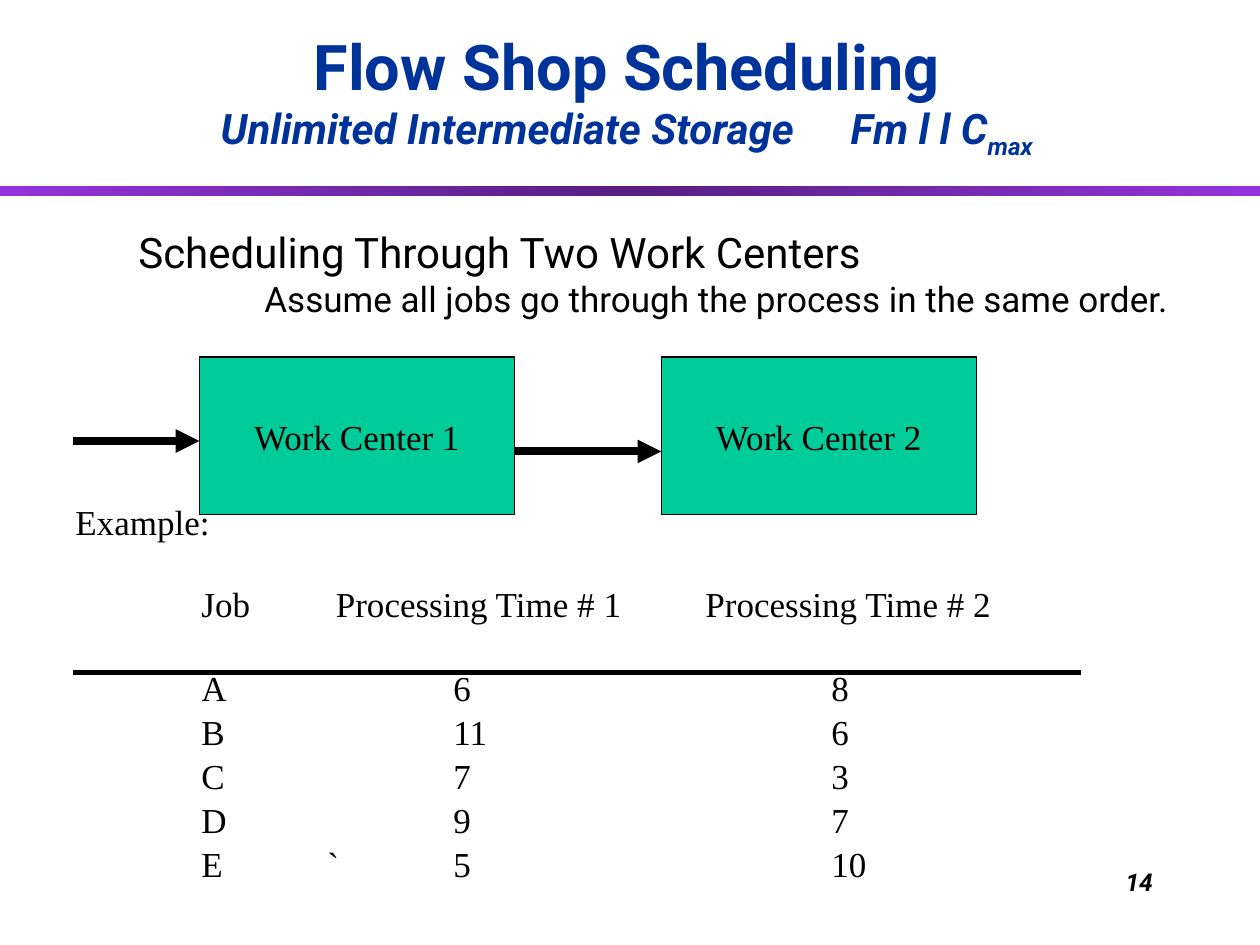
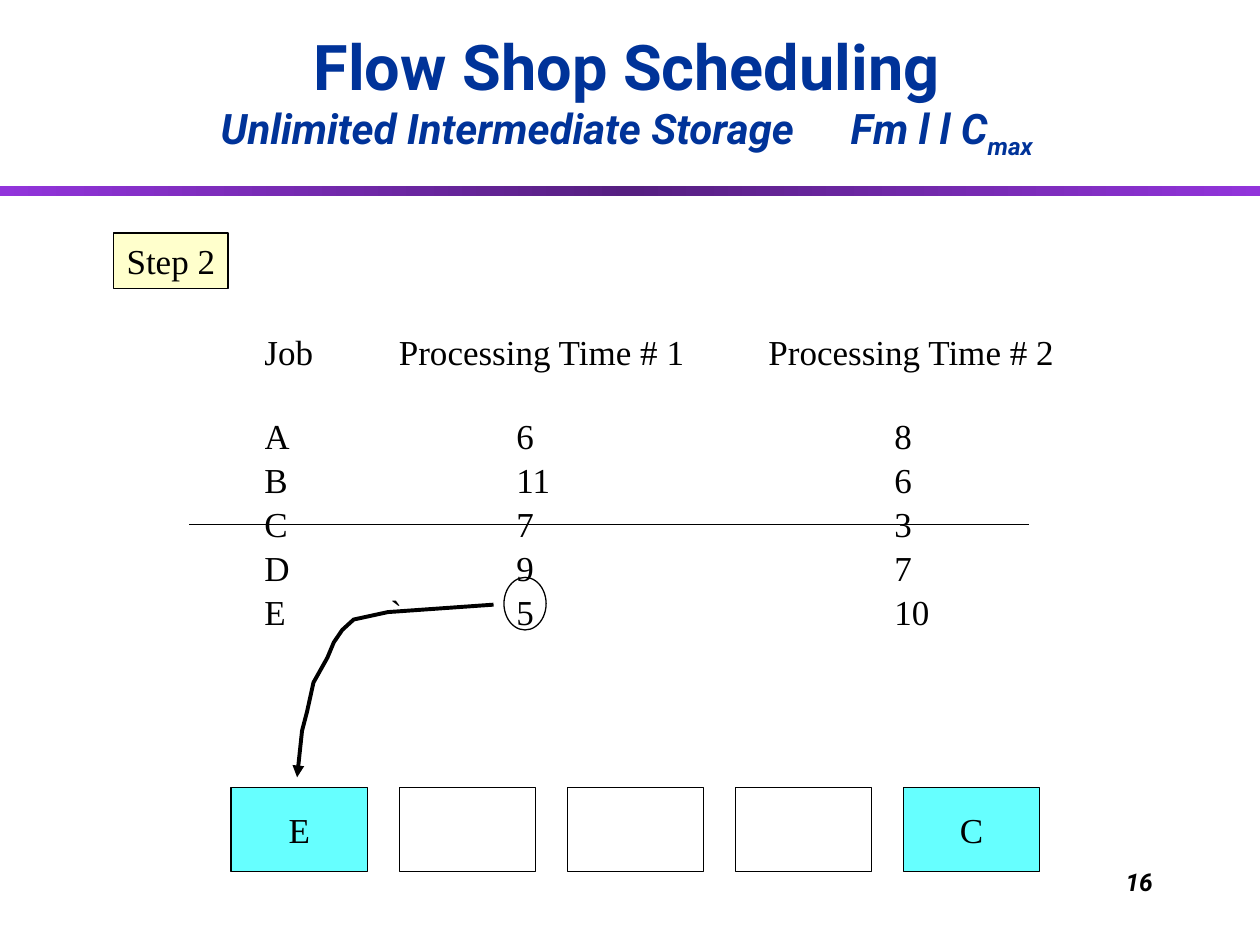
from copy import deepcopy
from dataclasses import dataclass

from lxml.etree import SubElement
from pptx import Presentation
from pptx.dml.color import RGBColor
from pptx.enum.shapes import MSO_CONNECTOR, MSO_SHAPE
from pptx.enum.text import MSO_ANCHOR, MSO_AUTO_SIZE, PP_ALIGN
from pptx.oxml.ns import qn
from pptx.util import Cm, Pt

COLOURS = {
    "text": "000000",
    "title": "003399",
    "band_edge": "9234DB",
    "band_middle": "561F81",
    "work_center": "00CC99",
    "step": "FFFFCC",
    "scheduled": "66FFFF",
}
SANS = "Roboto"
SERIF = "Times New Roman"
JOB_TIMES = [("A", 6, 8), ("B", 11, 6), ("C", 7, 3), ("D", 9, 7), ("E", 5, 10)]
COLUMN_WIDTHS = [2.54, 2.54, 5.08, 2.54, 3.5]
HEADER_HEIGHT, ROW_HEIGHT = 1.69, 0.85


@dataclass
class Box:
    """A rectangle measured in centimetres."""

    left: float
    top: float
    width: float
    height: float

    def inner(self, right, down, width, height):
        """Return a box offset from this one's top left corner."""
        return Box(self.left + right, self.top + down, width, height)

    def lengths(self):
        """Return left, top, width and height for python-pptx."""
        return Cm(self.left), Cm(self.top), Cm(self.width), Cm(self.height)


def colour(name):
    """Look up a named colour."""
    return RGBColor.from_string(COLOURS[name])


def style(para, size, face=SERIF, ink="text"):
    """Set the font shared by all runs of a paragraph."""
    para.font.name = face
    para.font.size = Pt(size)
    para.font.color.rgb = colour(ink)


def add_text(page, box, text, size=20, face=SERIF):
    """Add a text box with one paragraph and return that paragraph."""
    frame = page.shapes.add_textbox(*box.lengths()).text_frame
    frame.word_wrap = True
    para = frame.paragraphs[0]
    para.text = text
    style(para, size, face)
    return para


def add_outlined(page, box, fill=None, text="", kind=MSO_SHAPE.RECTANGLE):
    """Add a thinly outlined shape, optionally filled and labelled."""
    shape = page.shapes.add_shape(kind, *box.lengths())
    shape.shadow.inherit = False
    if fill:
        shape.fill.solid()
        shape.fill.fore_color.rgb = colour(fill)
    else:
        shape.fill.background()
    shape.line.color.rgb = colour("text")
    shape.line.width = Pt(0.75)
    if text:
        frame = shape.text_frame
        frame.word_wrap = False
        frame.vertical_anchor = MSO_ANCHOR.MIDDLE
        para = frame.paragraphs[0]
        para.text = text
        para.alignment = PP_ALIGN.CENTER
        style(para, 20)


def ink_line(shape, weight, arrow):
    """Give a line its colour and weight, and an arrowhead at its end."""
    shape.line.color.rgb = colour("text")
    shape.line.width = Pt(weight)
    if arrow:
        outline = shape.line._get_or_add_ln()
        SubElement(outline, qn("a:tailEnd"), type="triangle")


def add_level_line(page, left, right, height, weight, arrow=False):
    """Draw a horizontal line between two positions."""
    line = page.shapes.add_connector(
        MSO_CONNECTOR.STRAIGHT, Cm(left), Cm(height), Cm(right), Cm(height))
    ink_line(line, weight, arrow)
    SubElement(line._element.spPr, qn("a:effectLst"))


def add_title(page, box):
    """Place and fill the two-line title."""
    title = page.shapes.title
    title.left, title.top, title.width, title.height = box.lengths()
    frame = title.text_frame
    frame.auto_size = MSO_AUTO_SIZE.NONE
    frame.word_wrap = True
    frame.vertical_anchor = MSO_ANCHOR.BOTTOM
    para = frame.paragraphs[0]
    para.alignment = PP_ALIGN.CENTER
    stops = SubElement(para._p.get_or_add_pPr(), qn("a:tabLst"))
    SubElement(stops, qn("a:tab"), pos=str(Cm(12.7)), algn="l")
    style(para, 36, SANS, "title")
    para.font.bold = True
    heading = para.add_run()
    heading.text = "Flow Shop Scheduling"
    heading.font.size = Pt(36)
    para.add_line_break()
    for text in ("Unlimited Intermediate Storage\tFm l l C", "max"):
        span = para.add_run()
        span.text = text
        span.font.size = Pt(24)
        span.font.italic = True
    span._r.get_or_add_rPr().set("baseline", "-25000")


def add_band(page, box):
    """Draw the gradient band below the title."""
    band = page.shapes.add_shape(MSO_SHAPE.RECTANGLE, *box.lengths())
    band.shadow.inherit = False
    band.line.fill.background()
    band.fill.gradient()
    band.fill.gradient_angle = 0
    stop_list = band._element.spPr.find(".//" + qn("a:gsLst"))
    stop_list.append(deepcopy(stop_list[0]))
    names = ("band_edge", "band_middle", "band_edge")
    for index, (stop, name) in enumerate(zip(band.fill.gradient_stops, names)):
        stop.position = index / 2
        stop.color.rgb = colour(name)


def add_page(deck, number):
    """Add a slide with the shared title, band and page number."""
    page = deck.slides.add_slide(deck.slide_layouts[5])
    add_band(page, Box(0, 3.76, 25.4, 0.2))
    add_title(page, Box(0.43, 0.64, 24.41, 2.72))
    para = add_text(page, Box(18.21, 17.35, 5.28, 1.27), str(number), 14, SANS)
    para.alignment = PP_ALIGN.RIGHT
    para.font.bold = True
    para.font.italic = True
    return page


def add_job_table(page, box):
    """Add the table of processing times per job."""
    rows = [("Job", "Processing Time # 1", "", "Processing Time # 2", "")]
    rows += [(job, "`" if job == "E" else "", first, "", second)
             for job, first, second in JOB_TIMES]
    table = page.shapes.add_table(
        len(rows), len(COLUMN_WIDTHS), *box.lengths()).table
    table.first_row = False
    table.horz_banding = False
    for column, width in zip(table.columns, COLUMN_WIDTHS):
        column.width = Cm(width)
    for index, values in enumerate(rows):
        table.rows[index].height = Cm(ROW_HEIGHT if index else HEADER_HEIGHT)
        for cell, value in zip(table.rows[index].cells, values):
            cell.fill.background()
            cell.margin_left = cell.margin_right = cell.margin_bottom = 0
            cell.margin_top = Cm(0.04)
            para = cell.text_frame.paragraphs[0]
            para.text = str(value)
            style(para, 20)
    for start in (1, 3):
        table.cell(0, start).merge(table.cell(0, start + 1))
    table.cell(0, 1).margin_left = Cm(0.17)


def add_intro(page, box):
    """Add the topic and its indented assumption."""
    topic = add_text(page, box, "Scheduling Through Two Work Centers", 24, SANS)
    frame = page.shapes[-1].text_frame
    assumption = frame.add_paragraph()
    assumption.text = "Assume all jobs go through the process in the same order."
    assumption._p.get_or_add_pPr().set("marL", str(Cm(2.54)))
    style(assumption, 20, SANS)
    return topic


def add_work_centers(page, box):
    """Draw two work centers, each with an arrow leading in."""
    width = 6.35
    for index, right in enumerate((2.54, box.width - width)):
        add_outlined(page, box.inner(right, 0, width, box.height),
                     "work_center", f"Work Center {index + 1}")
    add_level_line(page, box.left, box.left + 2.54, box.top + 1.69, 4.5, True)
    add_level_line(page, box.left + 2.54 + width, box.left + box.width - width,
                   box.top + 1.9, 4.5, True)


def add_sequence(page, box, jobs):
    """Draw the row of places in the job sequence."""
    width = 2.75
    pitch = (box.width - width) / (len(jobs) - 1)
    for index, job in enumerate(jobs):
        add_outlined(page, box.inner(index * pitch, 0, width, box.height),
                     "scheduled" if job else None, job)


def add_bent_arrow(page, box):
    """Draw the arrow from the shortest time to the first place."""
    bends = [(3.96, 0), (1.83, 0.15), (1.14, 0.3), (0.91, 0.51), (0.74, 0.76),
             (0.61, 1.07), (0.33, 1.57), (0.2, 2.16), (0.1, 2.54), (0, 3.48)]
    points = [(Cm(box.left + x), Cm(box.top + y)) for x, y in bends]
    builder = page.shapes.build_freeform(*points[0])
    builder.add_line_segments(points[1:], close=False)
    arrow = builder.convert_to_shape()
    arrow.shadow.inherit = False
    arrow.fill.background()
    ink_line(arrow, 2.25, True)


def build_problem(deck):
    """Build the slide that introduces the example."""
    page = add_page(deck, 14)
    add_intro(page, Box(2.54, 4.45, 21.8, 2.11))
    add_work_centers(page, Box(1.48, 7.2, 18.2, 3.18))
    add_text(page, Box(1.27, 9.96, 3.5, 1.1), "Example:")
    add_job_table(page, Box(4.06, 11.78, 16.2, 5.94))
    add_level_line(page, 1.48, 21.8, 13.55, 3)


def build_step(deck):
    """Build the slide that schedules the second job."""
    page = add_page(deck, 16)
    add_job_table(page, Box(5.33, 6.7, 16.2, 5.94))
    add_outlined(page, Box(2.29, 4.7, 2.31, 1.12), "step", "Step 2")
    add_sequence(page, Box(4.66, 15.88, 16.3, 1.69), ["E", "", "", "", "C"])
    add_level_line(page, 3.81, 20.75, 10.58, 0.75)
    add_outlined(page, Box(10.16, 11.64, 0.85, 1.06), kind=MSO_SHAPE.OVAL)
    add_bent_arrow(page, Box(5.99, 12.19, 3.96, 3.48))


def main():
    """Build and save the deck."""
    deck = Presentation()
    deck.slide_width, deck.slide_height = Cm(25.4), Cm(19.05)
    build_problem(deck)
    build_step(deck)
    deck.save("out.pptx")


if __name__ == "__main__":
    main()
